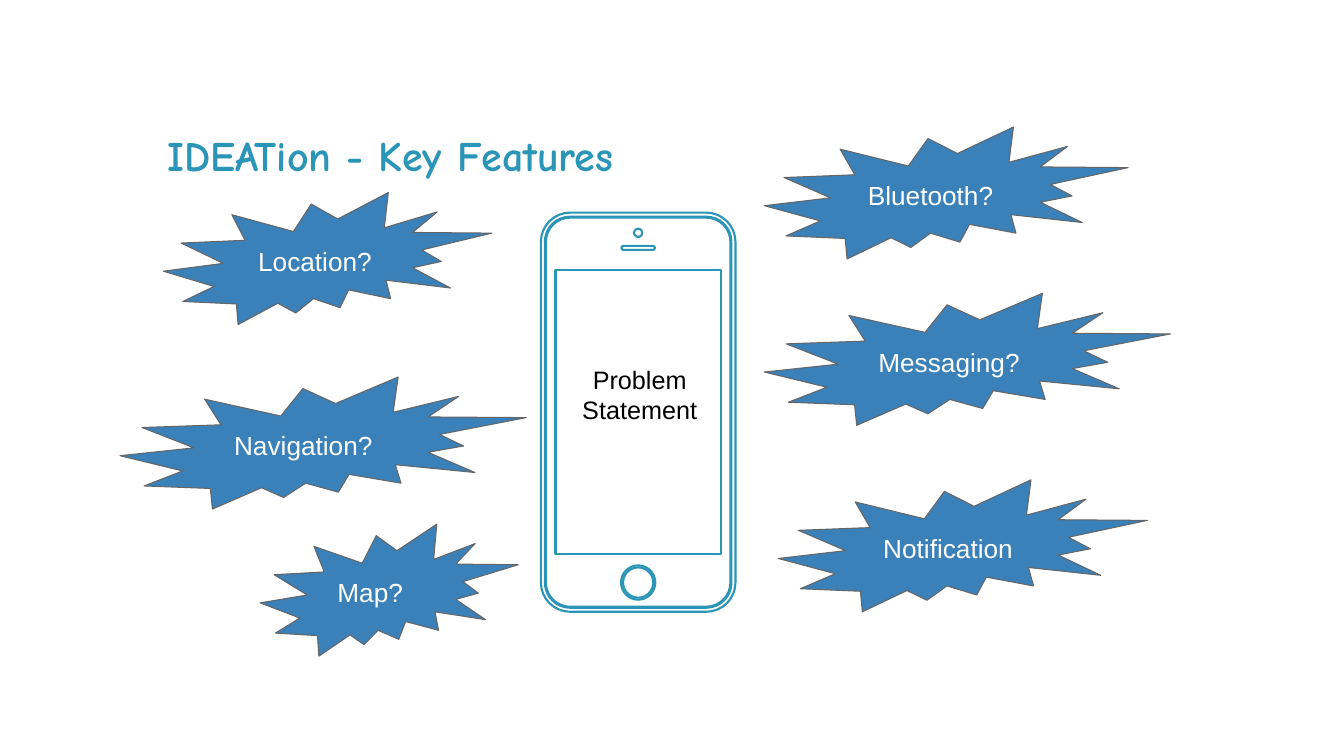
from math import cos, pi, sin

from pptx import Presentation
from pptx.dml.color import RGBColor
from pptx.enum.shapes import MSO_SHAPE
from pptx.enum.text import MSO_ANCHOR, PP_ALIGN
from pptx.util import Inches, Pt

TEAL = RGBColor(0x2A, 0x95, 0xB7)
BLUE = RGBColor(0x3A, 0x81, 0xBA)
GRAY = RGBColor(0x66, 0x66, 0x66)
WHITE = RGBColor(0xFF, 0xFF, 0xFF)
BLACK = RGBColor(0x00, 0x00, 0x00)

BURST_HEIGHT = 1.31
CORNER_STEPS = 8
PHONE_CENTER = 6.33

# Feature: left, top, width
FEATURES = {
    "Location?": (1.62, 1.91, 3.26),
    "Bluetooth?": (7.58, 1.26, 3.61),
    "Messaging?": (7.58, 2.91, 4.03),
    "Navigation?": (1.19, 3.74, 4.03),
    "Map?": (2.58, 5.2, 2.56),
    "Notification": (7.72, 4.76, 3.66),
}

# Phone parts, all centred on one axis: top, width, height, corner radius
PHONE_PARTS = [
    (2.27, 0.08, 0.08, 0.04),  # camera
    (2.44, 0.33, 0.04, 0.02),  # speaker
    (2.68, 1.64, 2.82, 0),  # screen
    (5.63, 0.3, 0.3, 0.15),  # home button, inner ring
    (5.61, 0.34, 0.34, 0.17),  # home button, outer ring
    (2.16, 1.83, 3.86, 0.24),  # bezel, inner edge
    (2.15, 1.85, 3.88, 0.25),  # bezel, outer edge
    (2.11, 1.93, 3.96, 0.29),  # case
]


def set_insets(frame, horizontal, vertical):
    frame.margin_left = frame.margin_right = Inches(horizontal)
    frame.margin_top = frame.margin_bottom = Inches(vertical)


def format_text(frame, font_name, size, color, align, bold=False):
    for paragraph in frame.paragraphs:
        paragraph.alignment = align
        for run in paragraph.runs:
            run.font.name = font_name
            run.font.size = Pt(size)
            run.font.bold = bold
            run.font.color.rgb = color


def paint(shape, fill, line, line_width):
    shape.shadow.inherit = False
    shape.fill.solid()
    shape.fill.fore_color.rgb = fill
    shape.line.color.rgb = line
    shape.line.width = Pt(line_width)


def rounded_outline(top, width, height, radius):
    """Return the points of a rounded rectangle centred on the phone."""
    right, bottom = PHONE_CENTER + width / 2 - radius, top + height - radius
    left, upper = PHONE_CENTER - width / 2 + radius, top + radius
    corners = [(right, bottom), (left, bottom), (left, upper), (right, upper)]
    steps = CORNER_STEPS if radius else 0
    points = []
    for quarter, (x, y) in enumerate(corners):
        for step in range(steps + 1):
            angle = pi / 2 * (quarter + step / CORNER_STEPS)
            points.append((Inches(x + radius * cos(angle)),
                           Inches(y + radius * sin(angle))))
    return points


def add_title(slide, text):
    title = slide.shapes.title
    title.left, title.top = Inches(1.53), Inches(1.16)
    title.width, title.height = Inches(10.24), Inches(1.09)
    frame = title.text_frame
    frame.text = text
    frame.vertical_anchor = MSO_ANCHOR.TOP
    set_insets(frame, 0.13, 0.13)
    format_text(frame, "Comic Neue", 30, TEAL, PP_ALIGN.LEFT, bold=True)


def add_phone(slide):
    outlines = [rounded_outline(*part) for part in PHONE_PARTS]
    builder = slide.shapes.build_freeform(*outlines[0][0])
    for outline in outlines:
        builder.move_to(*outline[0])
        builder.add_line_segments(outline[1:], close=True)
    paint(builder.convert_to_shape(), WHITE, TEAL, 1.5)


def add_feature(slide, text, left, top, width):
    burst = slide.shapes.add_shape(
        MSO_SHAPE.EXPLOSION2, Inches(left), Inches(top),
        Inches(width), Inches(BURST_HEIGHT))
    paint(burst, BLUE, GRAY, 0.75)
    frame = burst.text_frame
    frame.text = text
    frame.word_wrap = True
    frame.vertical_anchor = MSO_ANCHOR.MIDDLE
    set_insets(frame, 0.13, 0.13)
    format_text(frame, "Arial", 18.7, WHITE, PP_ALIGN.LEFT)


def add_screen_text(slide, text):
    box = slide.shapes.add_textbox(
        Inches(5.58), Inches(3.22), Inches(1.53), Inches(1.38))
    frame = box.text_frame
    frame.text = text
    frame.word_wrap = True
    frame.vertical_anchor = MSO_ANCHOR.MIDDLE
    set_insets(frame, 0.1, 0.05)
    format_text(frame, "Arial", 18, BLACK, PP_ALIGN.CENTER)


def main():
    presentation = Presentation()
    presentation.slide_width = Inches(13.33)
    presentation.slide_height = Inches(7.5)
    slide = presentation.slides.add_slide(presentation.slide_layouts[5])

    add_title(slide, "IDEATion - Key Features")
    add_phone(slide)
    for feature, place in FEATURES.items():
        add_feature(slide, feature, *place)
    add_screen_text(slide, "Problem\nStatement")

    presentation.save("out.pptx")


if __name__ == "__main__":
    main()
